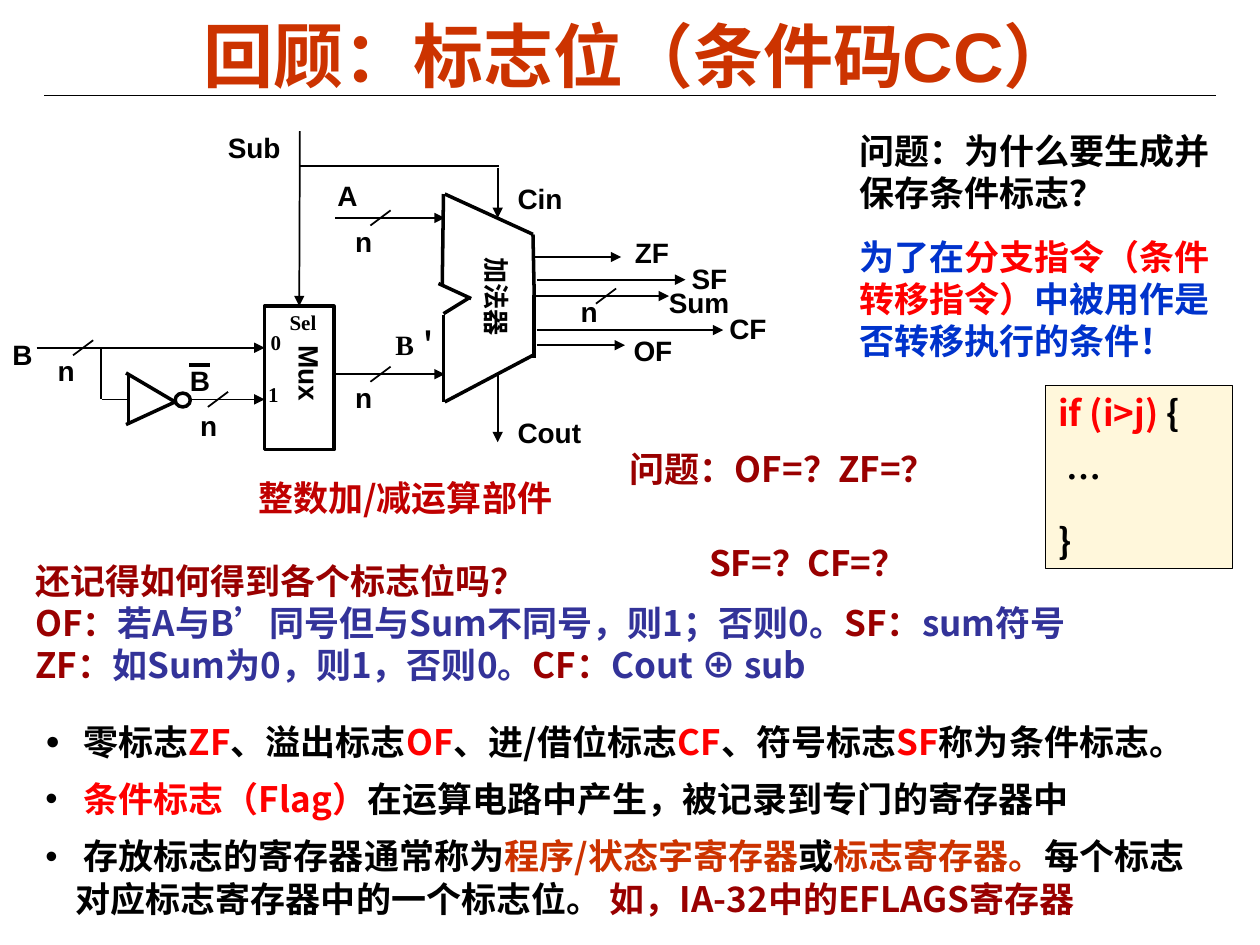
from lxml import etree
from pptx import Presentation, util as u
from pptx.dml.color import RGBColor
from pptx.enum import shapes, text
from pptx.oxml.ns import qn

PX = 9144  # 100 px to the inch
COLORS = {"black": "000000", "title": "CC3300", "red": "FF0000", "dark": "990000",
          "caption": "C00000", "violet": "333399", "blue": "0033CC", "gold": "FFCC00"}
CJK, SANS, SERIF = "Noto Sans CJK SC", "Arial", "Times New Roman"

# Content: a paragraph is a list of (text, colour) spans
TITLE = [[("回顾：标志位（条件码CC）", "title")]]
BULLETS = [
    [(" 零标志", "black"), ("ZF", "red"), ("、溢出标志", "black"), ("OF", "red"),
     ("、进/借位标志", "black"), ("CF", "red"), ("、符号标志", "black"), ("SF", "red"),
     ("称为条件标志。", "black")],
    [(" ", "black"), ("条件标志（Flag）", "red"),
     ("在运算电路中产生，被记录到专门的寄存器中", "black")],
    [(" 存放标志的寄存器通常称为", "black"), ("程序/状态字寄存器", "title"), ("或", "black"),
     ("标志寄存器。", "title"), ("每个标志对应标志寄存器中的一个标志位。 ", "black"),
     ("如，IA-32中的EFLAGS寄存器", "dark")],
]
QUIZ = [[("问题：OF=？ZF=？", "dark")], [("SF=？CF=？", "dark")]]
RULES = [
    [("还记得如何得到各个标志位吗？", "dark")],
    [("OF：", "dark"), ("若A与B’同号但与Sum不同号，则1；否则0。", "violet"),
     ("SF：", "dark"), ("sum符号", "violet")],
    [("ZF：", "dark"), ("如Sum为0，则1，否则0。", "violet"),
     ("CF：", "dark"), ("Cout ⊕ sub", "violet")],
]
REASON = [
    [("问题：为什么要生成并保存条件标志？", "black")],
    [("为了在", "blue"), ("分支指令（条件转移指令）", "red"),
     ("中被用作是否转移执行的条件！", "blue")],
]
CODE = [[("if (i>j)", "red"), (" {", "black")], [(" …", "black")], [("}", "black")]]
CAPTION = [[("整数加/减运算部件", "caption")]]

# Diagram labels: text, left, top, width, height
SIGNALS = [("Sum", 521, 222, 68, 36), ("n", 272, 173, 33, 36), ("n", 272, 297, 33, 36),
           ("A", 258, 137, 36, 36), ("ZF", 494, 182, 47, 36), ("Cin", 401, 139, 56, 36),
           ("Cout", 401, 325, 70, 36), ("n", 36, 276, 33, 36), ("B", 0, 263, 36, 36),
           ("n", 149, 319, 33, 36), ("Sub", 171, 99, 62, 36), ("B", 141, 284, 36, 36),
           ("OF", 493, 260, 51, 36), ("SF", 539, 203, 59, 37), ("CF", 569, 242, 60, 37)]
PORTS = [("0", 205, 257, 28, 30), ("1", 203, 298, 28, 30), ("Sel", 220, 241, 41, 30)]

# Diagram lines: x1, y1, x2, y2
ADDER = [(352, 154, 351, 226), (353, 154, 423, 186), (348, 225, 374, 237),
         (423, 186, 424, 234), (352, 319, 352, 250), (353, 319, 423, 282),
         (352, 249, 373, 236), (424, 284, 424, 234)]
INVERTER = [(139, 319, 100, 296), (139, 319, 100, 337), (102, 298, 102, 337)]
WIRES = [(80, 277, 80, 317), (81, 317, 101, 317), (396, 132, 237, 132)]
ARROWS = [(266, 173, 353, 173), (424, 235, 531, 235), (266, 297, 353, 297),
          (395, 133, 395, 173), (395, 298, 395, 351), (29, 276, 210, 276),
          (151, 317, 210, 317), (423, 204, 493, 204), (426, 274, 496, 274),
          (426, 222, 544, 222), (426, 262, 574, 262)]
TICKS = [(310, 291), (310, 167), (489, 229), (74, 270), (181, 311)]  # upper right ends


def color(name):
    return RGBColor.from_string(COLORS[name])


def fill_frame(shape, paragraphs, size, face=CJK, gap=0, wrap=True,
               margins=(10, 5), anchor=text.MSO_ANCHOR.TOP, align=text.PP_ALIGN.LEFT):
    frame = shape.text_frame
    side, edge = (value * PX for value in margins)
    settings = {"margin_left": side, "margin_right": side, "margin_top": edge,
                "margin_bottom": edge, "word_wrap": wrap, "vertical_anchor": anchor,
                "auto_size": text.MSO_AUTO_SIZE.NONE}
    for name, value in settings.items():
        setattr(frame, name, value)
    for index, spans in enumerate(paragraphs):
        para = frame.add_paragraph() if index else frame.paragraphs[0]
        para.alignment = align
        para.space_before = u.Pt(gap if index else 0)
        for words, tone in spans:
            span = para.add_run()
            span.text = words
            for name, value in {"name": face, "size": u.Pt(size), "bold": True}.items():
                setattr(span.font, name, value)
            span.font.color.rgb = color(tone)
            latin = span.font._element.find(qn("a:latin"))
            east = etree.Element(qn("a:ea"), typeface=CJK)
            latin.addnext(east)
    return frame


def place(shape, *bounds):
    for name, value in zip(("left", "top", "width", "height"), bounds):
        setattr(shape, name, value * PX)
    return shape


def add_box(bounds, paragraphs, size, **options):
    box = page.shapes.add_textbox(*(value * PX for value in bounds))
    fill_frame(box, paragraphs, size, **options)
    return box


def add_label(words, *bounds, size=16, face=SANS, wrap=False):
    return add_box(bounds, [[(words, "black")]], size, face=face, wrap=wrap)


def add_line(ends, width=1, arrow=False):
    line = page.shapes.add_connector(shapes.MSO_CONNECTOR.STRAIGHT,
                                     *(value * PX for value in ends))
    line.line.color.rgb = color("black")
    line.line.width = u.Pt(width)
    etree.SubElement(line._element.spPr, qn("a:effectLst"))
    if arrow:
        etree.SubElement(line.line._get_or_add_ln(), qn("a:tailEnd"), type="triangle")
    return line


def add_shape(kind, bounds, width):
    shape = page.shapes.add_shape(kind, *(value * PX for value in bounds))
    shape.shadow.inherit = False
    shape.fill.background()
    shape.line.color.rgb = color("black")
    shape.line.width = u.Pt(width)
    return shape


deck = Presentation()
deck.slide_width, deck.slide_height = 1000 * PX, 750 * PX
page = deck.slides.add_slide(deck.slide_layouts[1])

# Title and rule
fill_frame(place(page.shapes.title, 106, 7, 802, 73), TITLE, 40, face=SANS,
           margins=(7, 3), anchor=text.MSO_ANCHOR.MIDDLE, align=text.PP_ALIGN.CENTER)
add_line((35, 76, 965, 76), 0.75)

# Bulleted list
body = place(page.placeholders[1], 26, 550, 950, 201)
frame = fill_frame(body, BULLETS, 20, gap=8.8, anchor=text.MSO_ANCHOR.MIDDLE)
for index, para in enumerate(frame.paragraphs):
    props = para._p.get_or_add_pPr()
    props.set("marL", str(24 * PX))
    props.set("indent", str(-24 * PX))
    tint = etree.SubElement(props, qn("a:buClr"))
    etree.SubElement(tint, qn("a:srgbClr"), val=COLORS["black"])
    etree.SubElement(props, qn("a:buSzPct"), val="100000" if index else "70000")
    etree.SubElement(props, qn("a:buChar"), char="•" if index else "●")

# Questions and rules
quiz = add_box((490, 350, 290, 119), QUIZ, 20, gap=30)
quiz.text_frame.paragraphs[1]._p.get_or_add_pPr().set("marL", str(63 * PX))
add_box((18, 439, 949, 110), RULES, 20)
add_box((672, 98, 300, 194), REASON, 20, face=SANS, gap=12.5)

# Circuit
mux = add_shape(shapes.MSO_SHAPE.RECTANGLE, (210, 243, 55, 114), 2)
add_shape(shapes.MSO_SHAPE.OVAL, (139, 312, 12, 11), 2)
for ends in ADDER + INVERTER:
    add_line(ends, 2)
for ends in WIRES:
    add_line(ends)
for ends in ARROWS:
    add_line(ends, arrow=True)
for x, y in TICKS:
    add_line((x, y, x - 16, y + 12))
add_line((150, 290, 167, 290), 2.25)
add_line((238, 104, 238, 243), arrow=True).end_connect(mux, 0)

# Circuit labels
for label in SIGNALS:
    add_label(*label)
for label in PORTS:
    add_label(*label, size=12, face=SERIF)
add_label("B＇", 304, 255, 68, 37, face=SERIF, wrap=True)
add_label("n", 451, 235, 33, 30).text_frame.paragraphs[0].line_spacing = 0.75
add_label("加法器", 343, 228, 102, 35, size=15, wrap=True).rotation = 90
add_label("Mux", 207, 285, 78, 36, wrap=True).rotation = 90
add_box((195, 373, 261, 77), CAPTION, 20)

# Code panel
panel = add_shape(shapes.MSO_SHAPE.RECTANGLE, (830, 306, 148, 145), 0.75)
panel.fill.solid()
panel.fill.fore_color.rgb = color("gold")
shade = panel._element.spPr.find(qn("a:solidFill")).find(qn("a:srgbClr"))
etree.SubElement(shade, qn("a:alpha"), val="14000")
fill_frame(panel, CODE, 20, gap=12.5)

deck.save("out.pptx")
